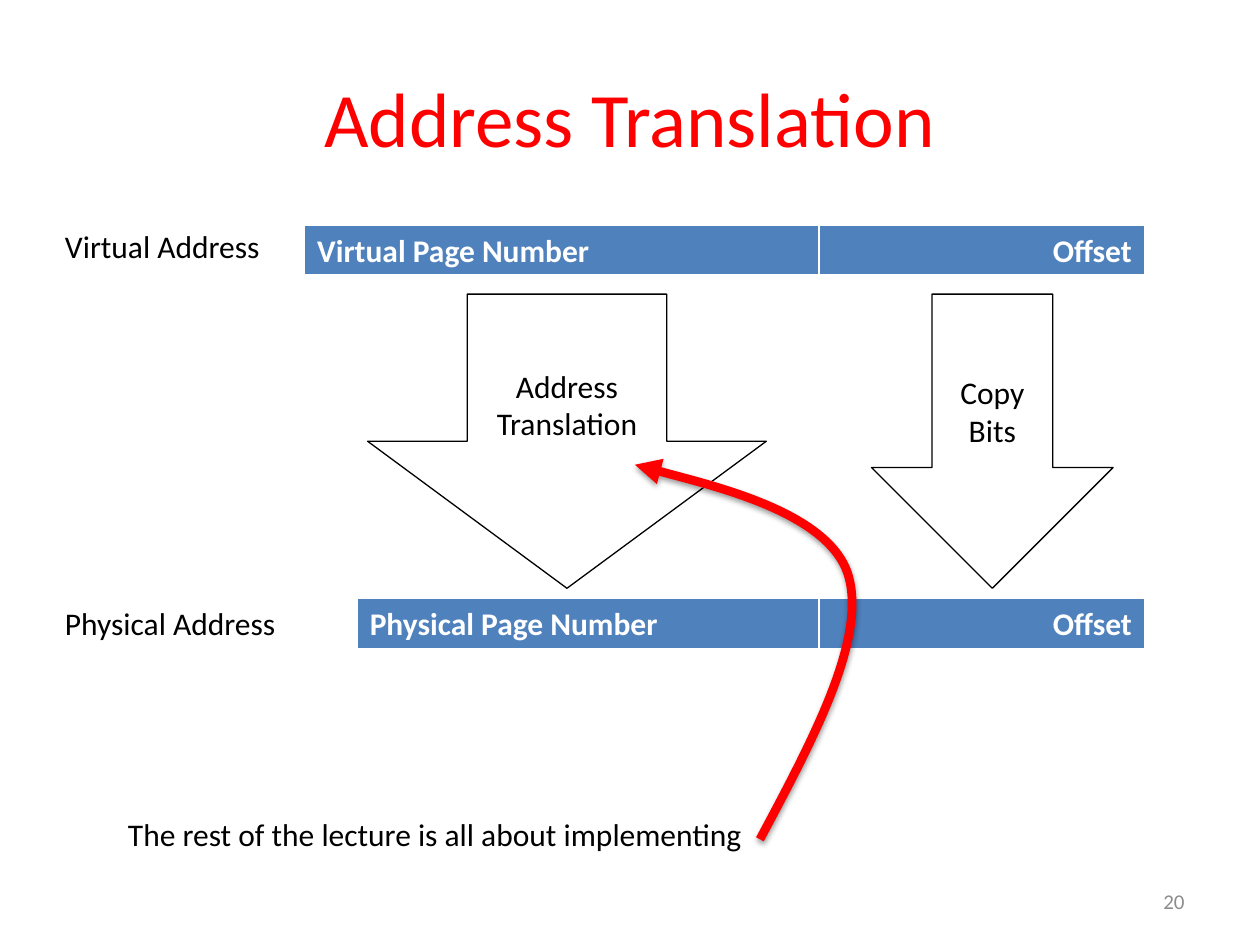
from lxml.etree import SubElement as Sub
from pptx import Presentation
from pptx.dml.color import RGBColor as Rgb
from pptx.enum.shapes import MSO_SHAPE as Kind
from pptx.enum.text import MSO_ANCHOR as Anchor, PP_ALIGN as Align
from pptx.oxml.ns import qn
from pptx.util import Cm, Pt

RED, BLACK, WHITE, BLUE, GREY = "FF0000", "000000", "FFFFFF", "4F81BD", "8C8C8C"


def paint(color, tone):
    """Give a font colour or fore colour its hex value."""
    color.rgb = Rgb.from_string(tone)


def write(frame, lines, size=18, tone=BLACK, align=Align.LEFT, bold=False, gap=0):
    """Fill a text frame with evenly styled paragraphs, gap points apart."""
    frame.text = "\n".join(lines)
    for i, para in enumerate(frame.paragraphs):
        para.alignment = align
        if i:
            para.space_before = Pt(gap)
        font = para.font
        font.name, font.size, font.bold = "Calibri", Pt(size), bold
        paint(font.color, tone)


def label(slide, box, lines, anchor=Anchor.TOP, **style):
    """Add a wrapped text box."""
    frame = slide.shapes.add_textbox(*map(Cm, box)).text_frame
    frame.word_wrap = True
    frame.vertical_anchor = anchor
    write(frame, lines, **style)


def edge(cell):
    """Draw the white borders of a table cell."""
    props = cell._tc.get_or_add_tcPr()
    for i, (side, width) in enumerate((("L", 1), ("R", 1), ("T", 1), ("B", 3))):
        line = props.makeelement(qn(f"a:ln{side}"), {"w": str(Pt(width))})
        fill = Sub(line, qn("a:solidFill"))
        Sub(fill, qn("a:srgbClr"), val=WHITE)
        props.insert(i, line)


def address(slide, left, top, name, wide):
    """Add a one-row table that splits an address into page and offset."""
    cols = (wide, 6.56)
    box = map(Cm, (left, top, sum(cols), 1.03))
    table = slide.shapes.add_table(1, 2, *box).table
    parts = ((name, Align.LEFT), ("Offset", Align.RIGHT))
    for i, (text, align) in enumerate(parts):
        table.columns[i].width = Cm(cols[i])
        cell = table.cell(0, i)
        cell.fill.solid()
        paint(cell.fill.fore_color, BLUE)
        edge(cell)
        write(cell.text_frame, [text], tone=WHITE, align=align, bold=True)


def arrow(slide, left, width, text):
    """Add an outlined block arrow between the two addresses."""
    box = map(Cm, (left, 5.93, width, 5.93))
    shape = slide.shapes.add_shape(Kind.DOWN_ARROW, *box)
    shape.shadow.inherit = False
    shape.fill.solid()
    paint(shape.fill.fore_color, WHITE)
    paint(shape.line.color, BLACK)
    shape.line.width = Pt(0.75)
    shape.text_frame.word_wrap = True
    shape.text_frame.vertical_anchor = Anchor.MIDDLE
    write(shape.text_frame, [text], align=Align.CENTER)


def curve(slide, start, knots, width):
    """Add a red curved pointer whose knots come in threes."""
    pen = slide.shapes.build_freeform(*map(Cm, start))
    pen.add_line_segments([tuple(map(Cm, k)) for k in knots], close=False)
    shape = pen.convert_to_shape()
    shape.width = Cm(width)
    shape.fill.background()
    paint(shape.line.color, RED)
    shape.line.width = Pt(5)
    Sub(shape.line._get_or_add_ln(), qn("a:tailEnd"), type="triangle")
    props = shape._element.spPr
    way = props.find(".//" + qn("a:path"))
    way.set("w", str(shape.width))
    steps = way.findall(qn("a:lnTo"))
    for i in range(0, len(steps), 3):
        bend = Sub(way, qn("a:cubicBezTo"))
        for step in steps[i:i + 3]:
            bend.append(step[0])
            way.remove(step)
    shade = Sub(Sub(props, qn("a:effectLst")), qn("a:outerShdw"),
                blurRad="40000", dist="20000", dir="5400000", rotWithShape="0")
    Sub(Sub(shade, qn("a:srgbClr"), val=BLACK), qn("a:alpha"), val="38000")


def main():
    """Build the address translation slide."""
    deck = Presentation()
    deck.slide_width, deck.slide_height = Cm(25.4), Cm(19.05)
    slide = deck.slides.add_slide(deck.slide_layouts[6])
    label(slide, (1.27, 0.76, 22.86, 3.18), ["Address Translation"],
          Anchor.MIDDLE, size=44, tone=RED, align=Align.CENTER)
    label(slide, (18.2, 17.66, 5.93, 1.01), ["20"],
          Anchor.MIDDLE, size=12, tone=GREY, align=Align.RIGHT)
    address(slide, 6.14, 4.55, "Virtual Page Number", 10.37)
    address(slide, 7.2, 12.07, "Physical Page Number", 9.31)
    label(slide, (1.06, 4.45, 4.87, 8.72),
          ["Virtual Address", "Physical Address"], gap=194)
    arrow(slide, 7.41, 8.04, "Address Translation")
    arrow(slide, 17.57, 4.87, "Copy Bits")
    label(slide, (2.33, 16.3, 19.26, 1.03),
          ["The rest of the lecture is all about implementing"])
    curve(slide, (15.32, 16.92),
          ((16.41, 14.88), (17.5, 12.83), (17.09, 11.56),
           (16.66, 10.29), (12.8, 9.37), (12.8, 9.37)), 4.39)
    deck.save("out.pptx")


if __name__ == "__main__":
    main()
